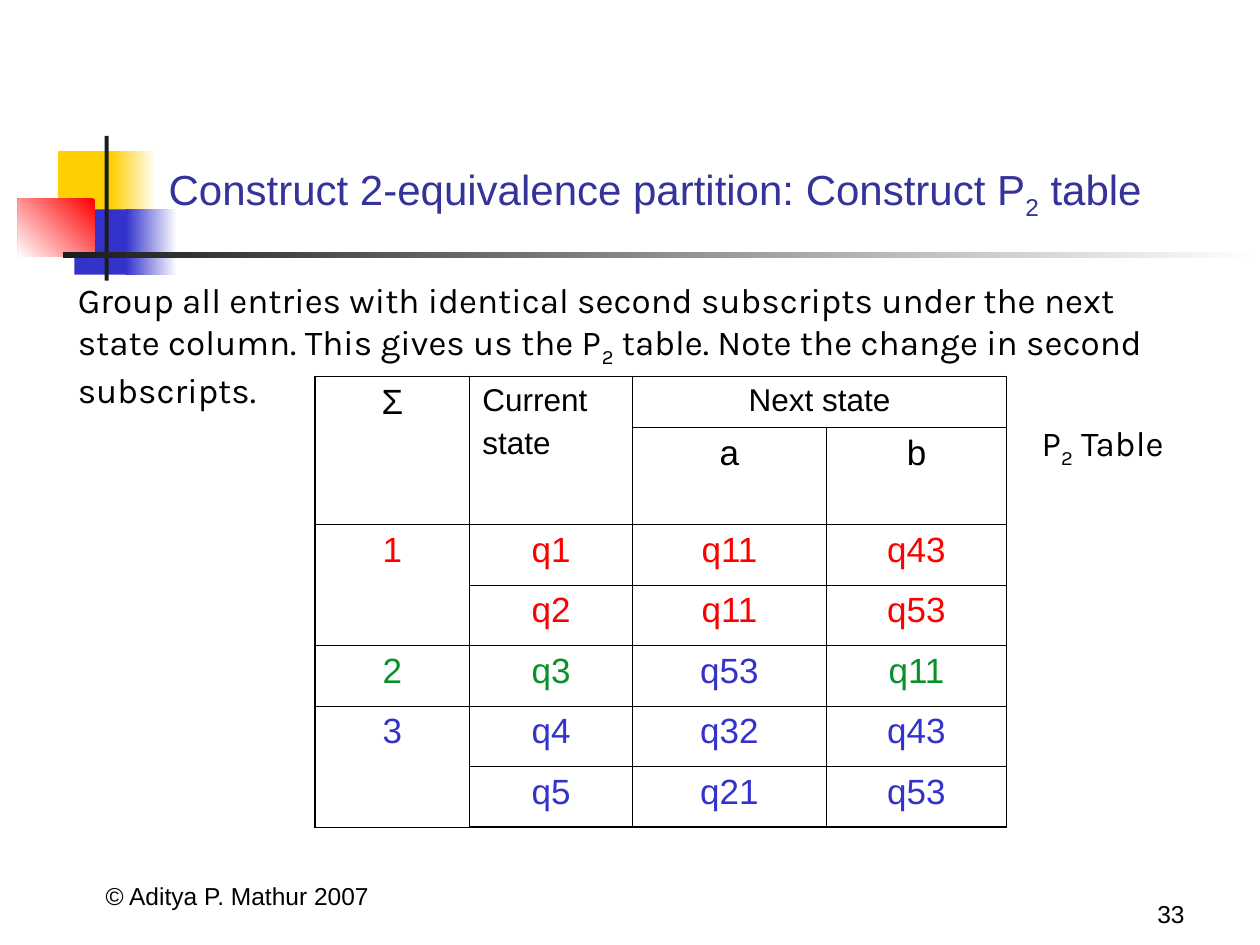
"""Build the slide about constructing the P2 table of a 2-equivalence partition."""
from lxml import etree
from pptx import Presentation
from pptx import util as u
from pptx.dml import color
from pptx.enum import shapes, text
from pptx.oxml import ns

BLACK, WHITE, RED, GREEN, BLUE, YELLOW = "000000", "FFFFFF", "FF0000", "089128", "3333CC", "FFCF01"
LEFT, CENTER, RIGHT = text.PP_ALIGN.LEFT, text.PP_ALIGN.CENTER, text.PP_ALIGN.RIGHT
TOP, BOTTOM = text.MSO_ANCHOR.TOP, text.MSO_ANCHOR.BOTTOM


def rgb(value):
    """Turn a hex string into a colour."""
    return color.RGBColor.from_string(value)


def write(paragraph, parts, size, tint=BLACK, font="Arial", align=LEFT):
    """Fill a paragraph, with every second part as a subscript."""
    paragraph.alignment = align
    paragraph.font.size = u.Pt(size)
    paragraph.font.name = font
    paragraph.font.color.rgb = rgb(tint)
    for index, part in enumerate(parts):
        run = paragraph.add_run()
        run.text = part
        if index % 2:
            run._r.get_or_add_rPr().set("baseline", "-25000")


presentation = Presentation()
presentation.slide_width, presentation.slide_height = u.Cm(25.4), u.Cm(19.05)
slide = presentation.slides.add_slide(presentation.slide_layouts[6])

decorations = [
    ((1.17, 3.05, 1.22, 1.32), [YELLOW], 0),
    ((2.24, 3.05, 0.91, 1.32), [WHITE, YELLOW], 180),
    ((1.5, 4.22, 1.17, 1.32), [BLUE], 0),
    ((2.54, 4.22, 1.02, 1.32), [WHITE, BLUE], 180),
    ((0.36, 4.01, 1.55, 1.17), [RED, WHITE], 225),
    ((2.11, 2.74, 0.08, 2.92), ["1C1C1C"], 0),
    ((1.27, 5.08, 24.13, 0.13), [WHITE, "1C1C1C"], 180),
]
for box, tints, angle in decorations:
    shape = slide.shapes.add_shape(shapes.MSO_SHAPE.RECTANGLE, *map(u.Cm, box))
    shape.shadow.inherit = False
    shape.line.fill.background()
    if len(tints) == 1:
        shape.fill.solid()
        shape.fill.fore_color.rgb = rgb(tints[0])
    else:
        shape.fill.gradient()
        shape.fill.gradient_angle = angle
        for stop, tint in zip(shape.fill.gradient_stops, tints):
            stop.color.rgb = rgb(tint)

explanation = [
    "Group all entries with identical second subscripts under the next state column. This gives us the P",
    "2",
    " table. Note the change in second subscripts.",
]
text_boxes = [
    ((0.76, 17.2, 8.05, 1.27), ["© Aditya P. Mathur 2007"], 14, BLACK, "Arial", CENTER, BOTTOM),
    ((18.85, 17.58, 5.28, 1.27), ["33"], 14, BLACK, "Arial", RIGHT, BOTTOM),
    ((3.15, 2.34, 21.64, 2.24), ["Construct 2-equivalence partition: Construct P", "2", " table"],
     24, "333399", "Arial", LEFT, BOTTOM),
    ((1.32, 5.49, 22.43, 2.92), explanation, 20, BLACK, "Karla", LEFT, TOP),
    ((20.75, 8.38, 3.53, 1.22), ["P", "2", " Table"], 20, BLACK, "Karla", LEFT, TOP),
]
for box, parts, size, tint, font, align, anchor in text_boxes:
    frame = slide.shapes.add_textbox(*map(u.Cm, box)).text_frame
    frame.word_wrap = True
    frame.vertical_anchor = anchor
    write(frame.paragraphs[0], parts, size, tint, font, align)

rows = [
    ["Σ", "Current\nstate", "Next state", ""],
    ["", "", "a", "b"],
    ["1", "q1", "q11", "q43"],
    ["", "q2", "q11", "q53"],
    ["2", "q3", "q53", "q11"],
    ["3", "q4", "q32", "q43"],
    ["", "q5", "q21", "q53"],
]
row_tints = [BLACK, BLACK, RED, RED, GREEN, BLUE, BLUE]
column_widths = [3.12, 3.28, 3.91, 3.63]
row_heights = [1.02, 1.96] + [1.22] * 5
table = slide.shapes.add_table(
    len(rows), len(column_widths), u.Cm(6.35), u.Cm(7.59),
    u.Cm(sum(column_widths)), u.Cm(sum(row_heights))).table
table.first_row = table.horz_banding = False
for column, width in zip(table.columns, column_widths):
    column.width = u.Cm(width)
for row, height in zip(table.rows, row_heights):
    row.height = u.Cm(height)
for start, end in [((0, 0), (1, 0)), ((0, 1), (1, 1)), ((0, 2), (0, 3)), ((2, 0), (3, 0)), ((5, 0), (6, 0))]:
    table.cell(*start).merge(table.cell(*end))

last_row, last_column = len(rows) - 1, len(column_widths) - 1
for r, values in enumerate(rows):
    for c, value in enumerate(values):
        cell = table.cell(r, c)
        outer_edges = {"lnL": c == 0, "lnR": c == last_column, "lnT": r == 0, "lnB": r == last_row}
        for edge, outer in outer_edges.items():
            line = etree.SubElement(cell._tc.get_or_add_tcPr(), ns.qn("a:" + edge),
                                    w=str(u.Pt(1.08 if outer else 0.45)))
            fill = etree.SubElement(line, ns.qn("a:solidFill"))
            etree.SubElement(fill, ns.qn("a:srgbClr"), val=BLACK)
        cell.fill.background()
        if not value:
            continue
        tint = BLUE if (r, c) == (4, 2) else row_tints[r]
        size = 18 if r == 0 and c > 0 else 20
        align = LEFT if "\n" in value else CENTER
        for index, words in enumerate(value.split("\n")):
            paragraph = cell.text_frame.add_paragraph() if index else cell.text_frame.paragraphs[0]
            if index:
                paragraph.space_before = u.Pt(4.5)
            write(paragraph, [words], size, tint, align=align)

presentation.save("out.pptx")
